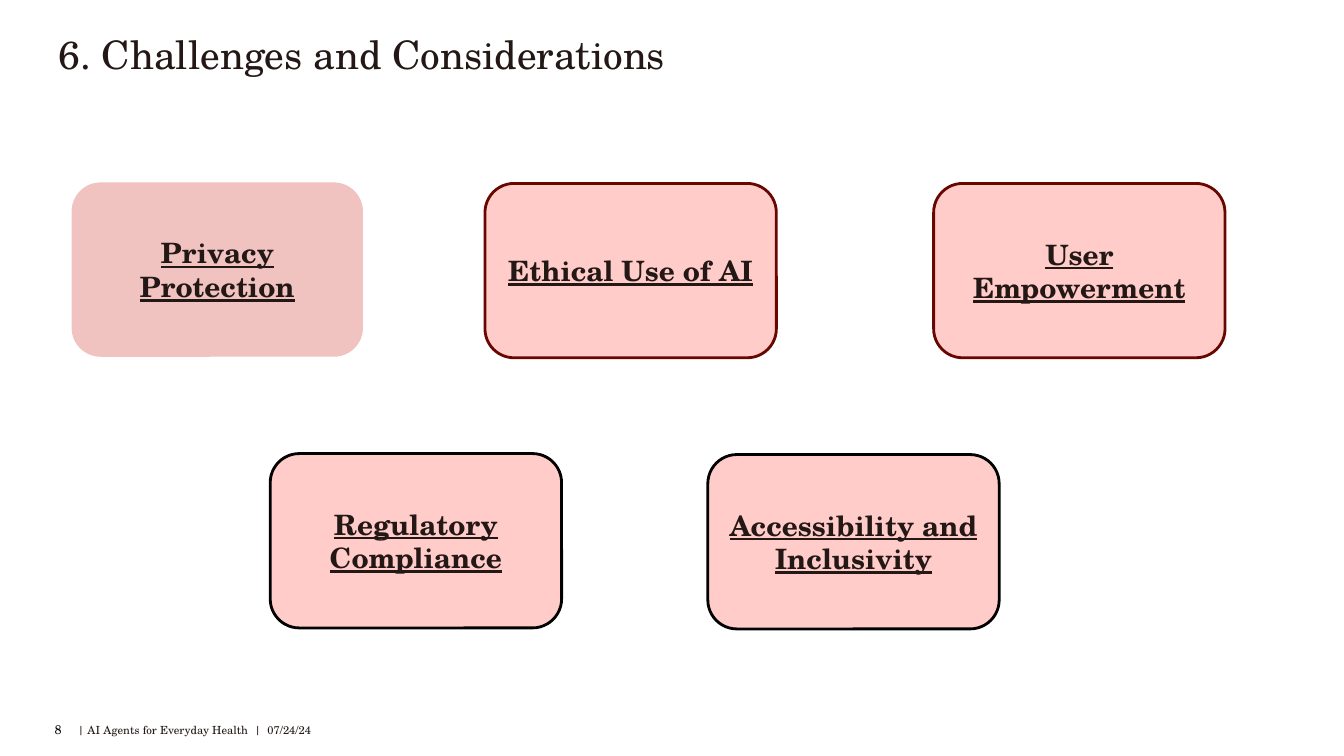
from pptx import Presentation
from pptx.dml.color import RGBColor
from pptx.enum.shapes import MSO_SHAPE
from pptx.enum.text import MSO_ANCHOR, PP_ALIGN
from pptx.util import Inches, Pt

FONT = "TeX Gyre Schola"
INK = RGBColor(0x23, 0x18, 0x15)
BLACK = RGBColor(0x00, 0x00, 0x00)
PINK = RGBColor(0xFF, 0xCC, 0xC9)
MUTED_PINK = RGBColor(0xF0, 0xC2, 0xC0)
MAROON = RGBColor(0x68, 0x07, 0x00)

ROUNDED = MSO_SHAPE.ROUNDED_RECTANGLE
MIDDLE = MSO_ANCHOR.MIDDLE
LEFT, CENTER, RIGHT = PP_ALIGN.LEFT, PP_ALIGN.CENTER, PP_ALIGN.RIGHT

CARD_WIDTH, CARD_HEIGHT = 2.89, 1.73

# label, left, top, fill, outline
CARDS = [
    ("Privacy Protection", 0.71, 1.81, MUTED_PINK, None),
    ("Ethical Use of AI", 4.81, 1.82, PINK, MAROON),
    ("User Empowerment", 9.26, 1.82, PINK, MAROON),
    ("Regulatory Compliance", 2.68, 4.5, PINK, BLACK),
    ("Accessibility and Inclusivity", 7.02, 4.51, PINK, BLACK),
]


def write_text(shape, text, size, color, alignment, emphasis=None):
    """Fill the shape with one paragraph; emphasis makes it bold and underlined."""
    text_frame = shape.text_frame
    text_frame.text = text
    text_frame.word_wrap = True
    text_frame.vertical_anchor = MIDDLE
    paragraph = text_frame.paragraphs[0]
    paragraph.alignment = alignment
    font = paragraph.runs[0].font
    font.name = FONT
    font.size = Pt(size)
    font.color.rgb = color
    font.bold = emphasis
    font.underline = emphasis


def add_label(slide, text, left, top, width, height, size,
              color=INK, alignment=LEFT, left_inset=0.1, right_inset=0.1):
    box = slide.shapes.add_textbox(
        Inches(left), Inches(top), Inches(width), Inches(height))
    box.text_frame.margin_left = Inches(left_inset)
    box.text_frame.margin_right = Inches(right_inset)
    write_text(box, text, size, color, alignment)


def add_card(slide, label, left, top, fill, outline):
    card = slide.shapes.add_shape(
        ROUNDED, Inches(left), Inches(top),
        Inches(CARD_WIDTH), Inches(CARD_HEIGHT))
    card.shadow.inherit = False
    card.fill.solid()
    card.fill.fore_color.rgb = fill
    if outline is None:
        card.line.fill.background()
    else:
        card.line.color.rgb = outline
        card.line.width = Pt(2)
    write_text(card, label, 20, INK, CENTER, emphasis=True)


def main():
    presentation = Presentation()
    presentation.slide_width = Inches(13.33)
    presentation.slide_height = Inches(7.5)
    slide = presentation.slides.add_slide(presentation.slide_layouts[6])

    add_label(slide, "| AI Agents for Everyday Health  |  07/24/24",
              0.71, 7.14, 8.87, 0.21, 8, left_inset=0.06, right_inset=0)
    add_label(slide, "8", 0.4, 7.04, 0.31, 0.4, 9, BLACK, RIGHT)
    add_label(slide, "6. Challenges and Considerations",
              0.58, 0.15, 12.18, 0.77, 28, left_inset=0)
    for card in CARDS:
        add_card(slide, *card)

    presentation.save("out.pptx")


if __name__ == "__main__":
    main()
